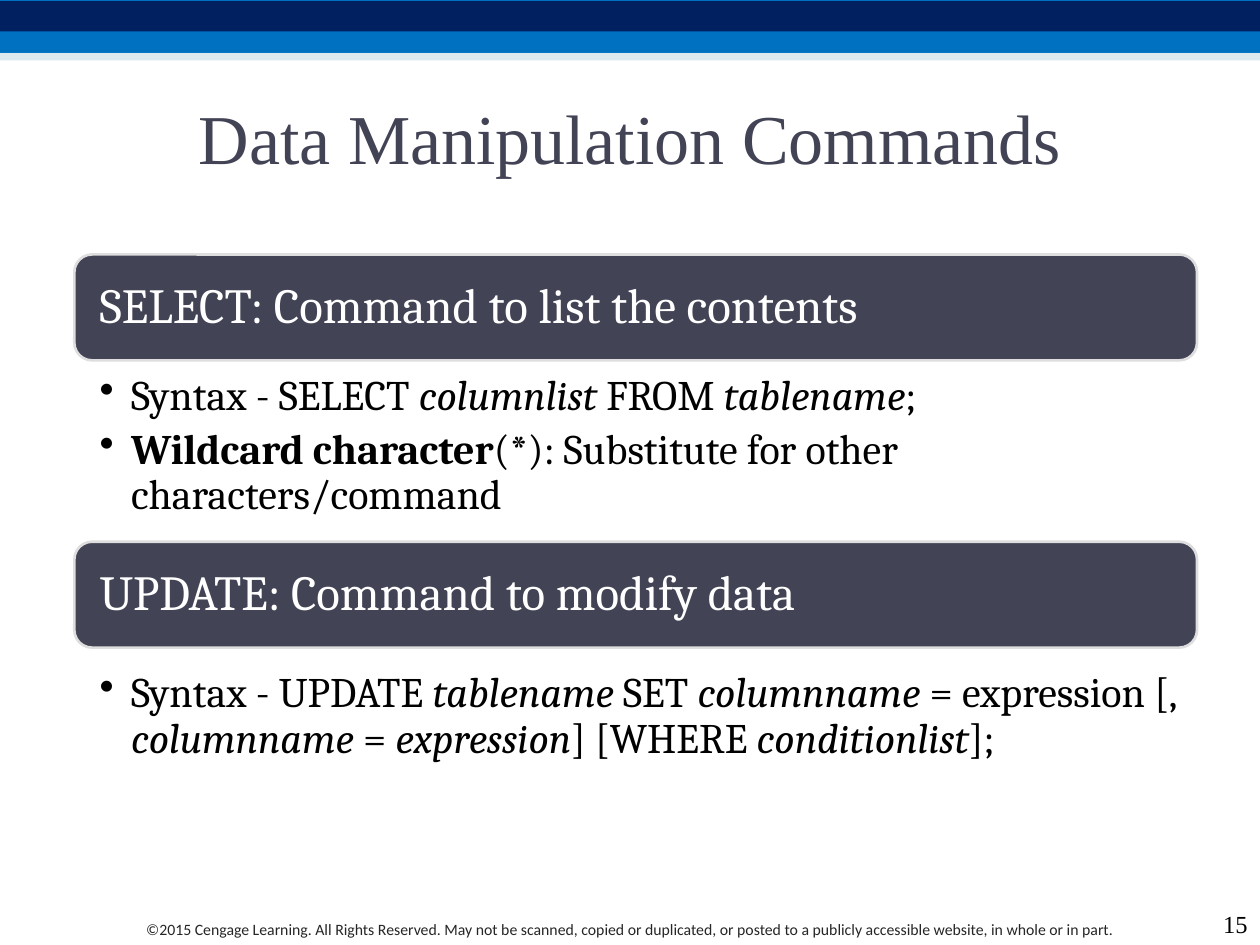
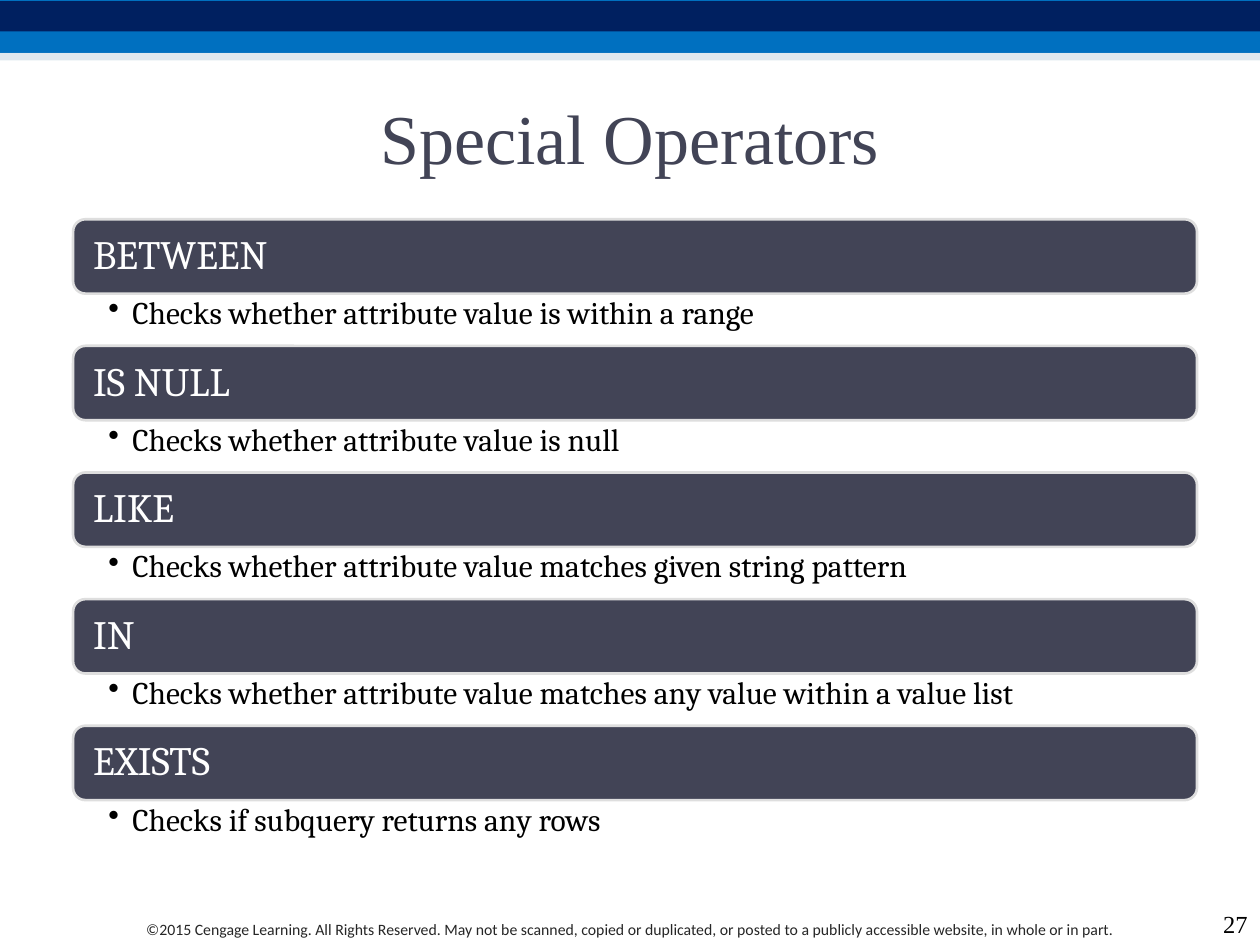
from dataclasses import dataclass

from lxml.etree import SubElement
from pptx import Presentation
from pptx.dml.color import RGBColor
from pptx.enum.shapes import MSO_SHAPE
from pptx.enum.text import MSO_ANCHOR, PP_ALIGN
from pptx.oxml.ns import qn
from pptx.util import Inches, Pt

BLUE = RGBColor(0x00, 0x70, 0xC0)
NAVY = RGBColor(0x00, 0x20, 0x60)
PALE_BLUE = RGBColor(0xBE, 0xD3, 0xE1)
SLATE = RGBColor(0x42, 0x44, 0x56)
LIGHT_GREY = RGBColor(0xDE, 0xDE, 0xDE)
DARK_GREY = RGBColor(0x26, 0x26, 0x26)
WHITE = RGBColor(0xFF, 0xFF, 0xFF)
BLACK = RGBColor(0x00, 0x00, 0x00)

TITLE_FONT = "Times New Roman"
BODY_FONT = "Cambria"
FOOTER_FONT = "Calibri"
COPYRIGHT = (
    "©2015 Cengage Learning. All Rights Reserved. May not be scanned, copied or duplicated, "
    "or posted to a publicly accessible website, in whole or in part."
)
PLAIN, ITALIC, BOLD = "plain", "italic", "bold"


@dataclass
class ListStyle:
    """Measures of a list of heading bars with details; lengths in inches, sizes in points."""
    bar_left: float
    bar_width: float
    bar_height: float
    bar_inset: float
    bar_size: int
    detail_left: float
    detail_width: float
    detail_height: float
    detail_insets: tuple
    detail_size: int
    indent: float
    space_after: float


COMMAND_STYLE = ListStyle(0.59, 8.91, 0.84, 0.16, 28, 0.5, 9.08, 1.18, (0.29, 0.19), 24, 0.25, 4.8)
OPERATOR_STYLE = ListStyle(0.58, 8.92, 0.59, 0.13, 23, 0.58, 8.92, 0.42, (0.28, 0.18), 18, 0.19, 3.6)

# Each command: bar top, heading, detail top, bullets made of (text, emphasis) runs
COMMANDS = [
    (2.02, "SELECT: Command to list the contents", 2.94, [
        [("Syntax - SELECT ", PLAIN), ("columnlist", ITALIC), (" FROM ", PLAIN),
         ("tablename", ITALIC), (";", PLAIN)],
        [("Wildcard character", BOLD), ("(*): Substitute for other characters/command", PLAIN)],
    ]),
    (4.3, "UPDATE: Command to modify data", 5.3, [
        [("Syntax - UPDATE ", PLAIN), ("tablename", ITALIC), (" SET ", PLAIN),
         ("columnname", ITALIC), (" = expression [, ", PLAIN), ("columnname", ITALIC),
         (" = ", PLAIN), ("expression", ITALIC), ("] [WHERE ", PLAIN),
         ("conditionlist", ITALIC), ("];", PLAIN)],
    ]),
]

OPERATORS = [
    ("BETWEEN", "Checks whether attribute value is within a range"),
    ("IS NULL", "Checks whether attribute value is null"),
    ("LIKE", "Checks whether attribute value matches given string pattern"),
    ("IN", "Checks whether attribute value matches any value within a value list"),
    ("EXISTS", "Checks if subquery returns any rows"),
]
FIRST_OPERATOR_TOP, LAST_OPERATOR_TOP = 1.74, 5.76


def set_font(paragraph, name, size, color):
    font = paragraph.font
    font.name = name
    font.size = Pt(size)
    font.color.rgb = color


def add_filled_shape(slide, kind, left, top, width, height, color):
    shape = slide.shapes.add_shape(kind, Inches(left), Inches(top), Inches(width), Inches(height))
    shape.shadow.inherit = False
    shape.fill.solid()
    shape.fill.fore_color.rgb = color
    shape.line.fill.background()
    return shape


def add_text_frame(slide, left, top, width, height):
    text_box = slide.shapes.add_textbox(Inches(left), Inches(top), Inches(width), Inches(height))
    text_box.text_frame.word_wrap = True
    return text_box.text_frame


def add_bands(slide):
    for top, height, color in [(0, 0.42, BLUE), (0.01, 0.24, NAVY), (0.42, 0.06, PALE_BLUE)]:
        band = add_filled_shape(slide, MSO_SHAPE.RECTANGLE, 0, top, 10, height, color)
    pale_color = band.fill._xPr.find(qn("a:solidFill"))[0]
    SubElement(pale_color, qn("a:alpha")).set("val", "50000")


def add_footer(slide, number):
    paragraph = add_text_frame(slide, 0.58, 7.25, 8.83, 0.25).paragraphs[0]
    paragraph.text = COPYRIGHT
    paragraph.alignment = PP_ALIGN.CENTER
    set_font(paragraph, FOOTER_FONT, 9, DARK_GREY)

    number_frame = add_text_frame(slide, 9.5, 7.17, 0.5, 0.33)
    number_frame.vertical_anchor = MSO_ANCHOR.BOTTOM
    paragraph = number_frame.paragraphs[0]
    paragraph.text = str(number)
    paragraph.alignment = PP_ALIGN.RIGHT
    set_font(paragraph, TITLE_FONT, 14, BLACK)


def add_titled_slide(presentation, title_text, number):
    slide = presentation.slides.add_slide(presentation.slide_layouts[5])
    title = slide.shapes.title
    title.left, title.top, title.width, title.height = map(Inches, (0.5, 0.5, 9, 1.17))
    title.text_frame.vertical_anchor = MSO_ANCHOR.MIDDLE
    paragraph = title.text_frame.paragraphs[0]
    paragraph.text = title_text
    paragraph.alignment = PP_ALIGN.CENTER
    set_font(paragraph, TITLE_FONT, 40, SLATE)
    add_bands(slide)
    add_footer(slide, number)
    return slide


def add_heading_bar(slide, top, heading, style):
    bar = add_filled_shape(slide, MSO_SHAPE.ROUNDED_RECTANGLE, style.bar_left, top,
                           style.bar_width, style.bar_height, SLATE)
    bar.line.color.rgb = LIGHT_GREY
    bar.line.width = Pt(1.5)
    text_frame = bar.text_frame
    text_frame.word_wrap = True
    text_frame.vertical_anchor = MSO_ANCHOR.MIDDLE
    text_frame.margin_left = text_frame.margin_right = Inches(style.bar_inset)
    paragraph = text_frame.paragraphs[0]
    paragraph.text = heading
    paragraph.alignment = PP_ALIGN.LEFT
    paragraph.line_spacing = 0.9
    set_font(paragraph, BODY_FONT, style.bar_size, WHITE)


def format_bullet(paragraph, style):
    paragraph.level = 1
    properties = paragraph._p.get_or_add_pPr()
    properties.set("marL", str(Inches(style.indent)))
    properties.set("indent", str(-Inches(style.indent)))
    SubElement(properties, qn("a:buChar")).set("char", "•")
    paragraph.line_spacing = 0.9
    paragraph.space_after = Pt(style.space_after)
    set_font(paragraph, BODY_FONT, style.detail_size, BLACK)


def add_details(slide, top, bullets, style):
    text_frame = add_text_frame(slide, style.detail_left, top,
                                style.detail_width, style.detail_height)
    text_frame.margin_left, text_frame.margin_right = map(Inches, style.detail_insets)
    text_frame.margin_top = text_frame.margin_bottom = Inches(0.03)
    for index, runs in enumerate(bullets):
        paragraph = text_frame.add_paragraph() if index else text_frame.paragraphs[0]
        format_bullet(paragraph, style)
        for text, emphasis in runs:
            run = paragraph.add_run()
            run.text = text
            if emphasis == ITALIC:
                run.font.italic = True
            elif emphasis == BOLD:
                run.font.bold = True


def add_commands_slide(presentation):
    slide = add_titled_slide(presentation, "Data Manipulation Commands", 15)
    for bar_top, heading, detail_top, bullets in COMMANDS:
        add_heading_bar(slide, bar_top, heading, COMMAND_STYLE)
        add_details(slide, detail_top, bullets, COMMAND_STYLE)


def add_operators_slide(presentation):
    slide = add_titled_slide(presentation, "Special Operators", 27)
    step = (LAST_OPERATOR_TOP - FIRST_OPERATOR_TOP) / (len(OPERATORS) - 1)
    for index, (operator, description) in enumerate(OPERATORS):
        top = FIRST_OPERATOR_TOP + index * step
        add_heading_bar(slide, top, operator, OPERATOR_STYLE)
        add_details(slide, top + OPERATOR_STYLE.bar_height, [[(description, PLAIN)]],
                    OPERATOR_STYLE)


def main():
    presentation = Presentation()
    presentation.slide_width = Inches(10)
    presentation.slide_height = Inches(7.5)
    add_commands_slide(presentation)
    add_operators_slide(presentation)
    presentation.save("out.pptx")


if __name__ == "__main__":
    main()
